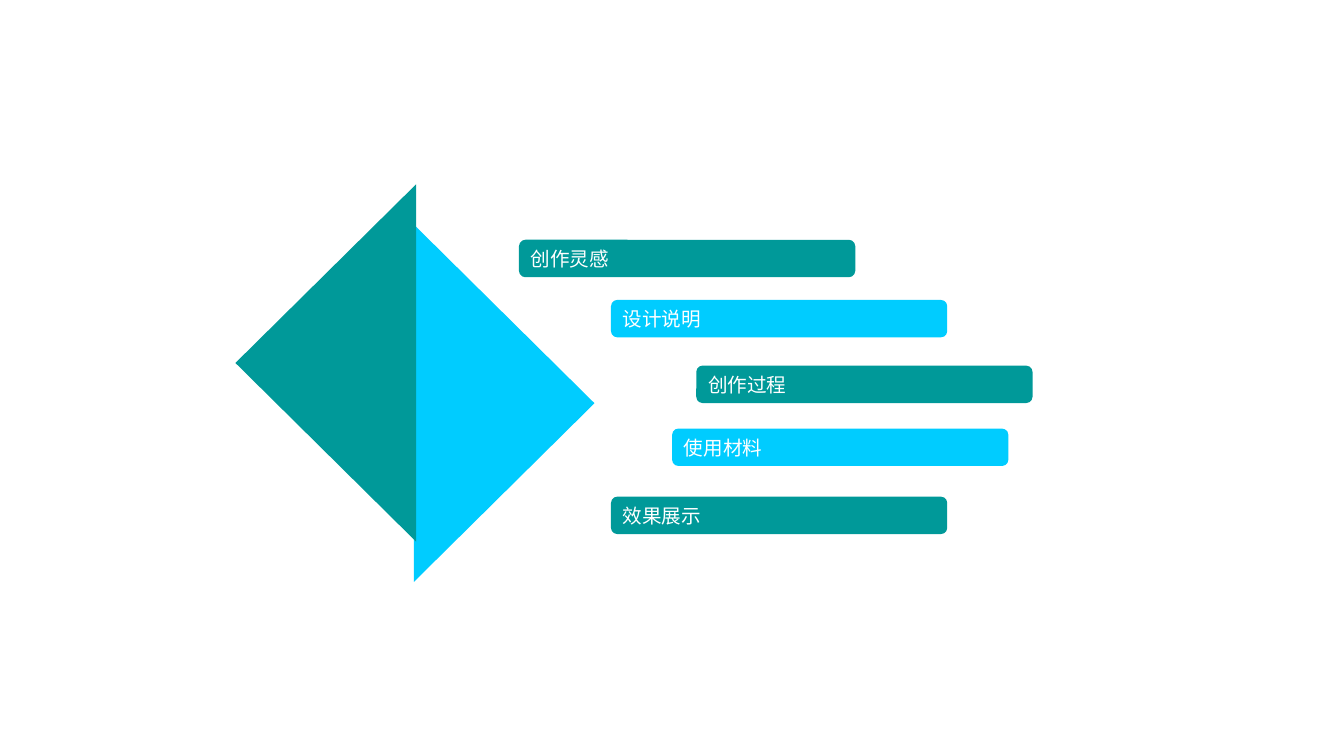
"""Build an agenda slide with a split diamond and five staggered topic bars."""
from lxml import etree
from pptx import Presentation
from pptx.dml.color import RGBColor
from pptx.enum.shapes import MSO_SHAPE
from pptx.enum.text import MSO_ANCHOR, MSO_AUTO_SIZE, PP_ALIGN
from pptx.oxml.ns import qn
from pptx.util import Pt

ROUNDED = MSO_SHAPE.ROUNDED_RECTANGLE
MIDDLE = MSO_ANCHOR.MIDDLE
FIT_SHAPE = MSO_AUTO_SIZE.SHAPE_TO_FIT_TEXT
LEFT = PP_ALIGN.LEFT

THEME = {
    "teal": RGBColor(0x00, 0x99, 0x99),
    "cyan": RGBColor(0x00, 0xCC, 0xFF),
    "text": RGBColor(0xFF, 0xFF, 0xFF),
    "font": "Noto Sans CJK SC",
    "size": Pt(14),
}

HALF_HEIGHT = 127.8
DIAMOND_HALVES = [
    ("cyan", 296, 425.2, 288.4),
    ("teal", 297.6, 168.4, 259.6),
]

BAR_WIDTH, BAR_HEIGHT = 240.5, 26.8
BAR_COLORS = ["teal", "cyan"]
TOPICS = [
    ("创作灵感", 371.2, 171.5),
    ("设计说明", 437, 214.5),
    ("创作过程", 498, 261.5),
    ("使用材料", 480.7, 306.5),
    ("效果展示", 437, 355.2),
]
FRAME_FORMAT = {
    "margin_left": Pt(7.2),
    "margin_right": Pt(7.2),
    "margin_top": Pt(3.6),
    "margin_bottom": Pt(3.6),
    "vertical_anchor": MIDDLE,
    "word_wrap": True,
    "auto_size": FIT_SHAPE,
}


def paint(shape, color):
    """Give a shape a plain fill without line or shadow."""
    shape.shadow.inherit = False
    shape.fill.solid()
    shape.fill.fore_color.rgb = THEME[color]
    shape.line.fill.background()


presentation = Presentation()
presentation.slide_width = Pt(961.2)
presentation.slide_height = Pt(540)
slide = presentation.slides.add_slide(presentation.slide_layouts[6])

for color, base_x, tip_x, middle_y in DIAMOND_HALVES:
    top, bottom = middle_y - HALF_HEIGHT, middle_y + HALF_HEIGHT
    builder = slide.shapes.build_freeform(Pt(base_x), Pt(top))
    builder.add_line_segments([(Pt(tip_x), Pt(middle_y)), (Pt(base_x), Pt(bottom))])
    paint(builder.convert_to_shape(), color)

for index, (topic, left, top) in enumerate(TOPICS):
    bar = slide.shapes.add_shape(ROUNDED, Pt(left), Pt(top), Pt(BAR_WIDTH), Pt(BAR_HEIGHT))
    bar.adjustments[0] = 0.17
    paint(bar, BAR_COLORS[index % len(BAR_COLORS)])
    for name, value in FRAME_FORMAT.items():
        setattr(bar.text_frame, name, value)
    paragraph = bar.text_frame.paragraphs[0]
    paragraph.alignment = LEFT
    run = paragraph.add_run()
    run.text = topic
    run.font.name = THEME["font"]
    run.font.size = THEME["size"]
    run.font.color.rgb = THEME["text"]
    east_asian = etree.SubElement(run.font._element, qn("a:ea"))
    east_asian.set("typeface", THEME["font"])

presentation.save("out.pptx")
